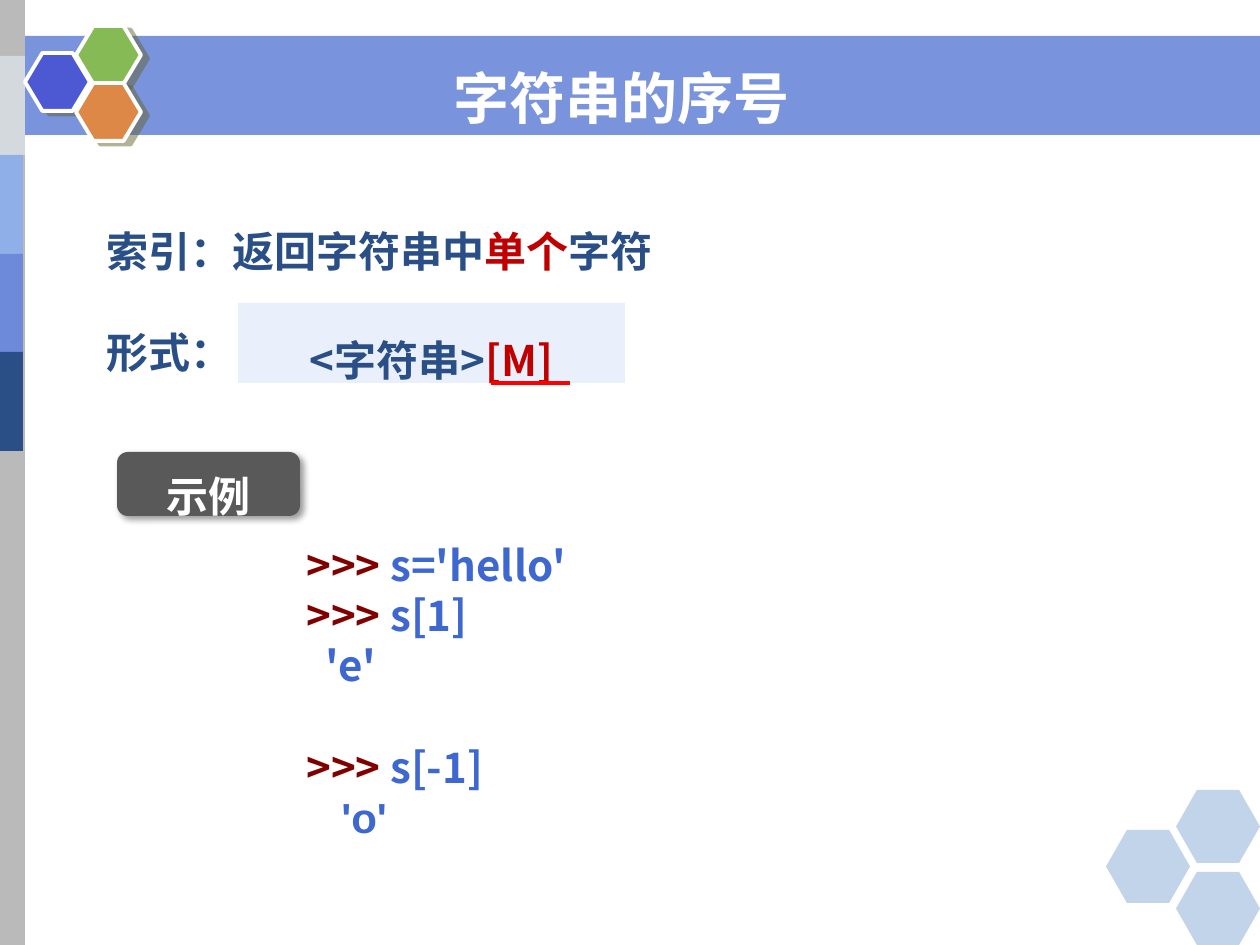
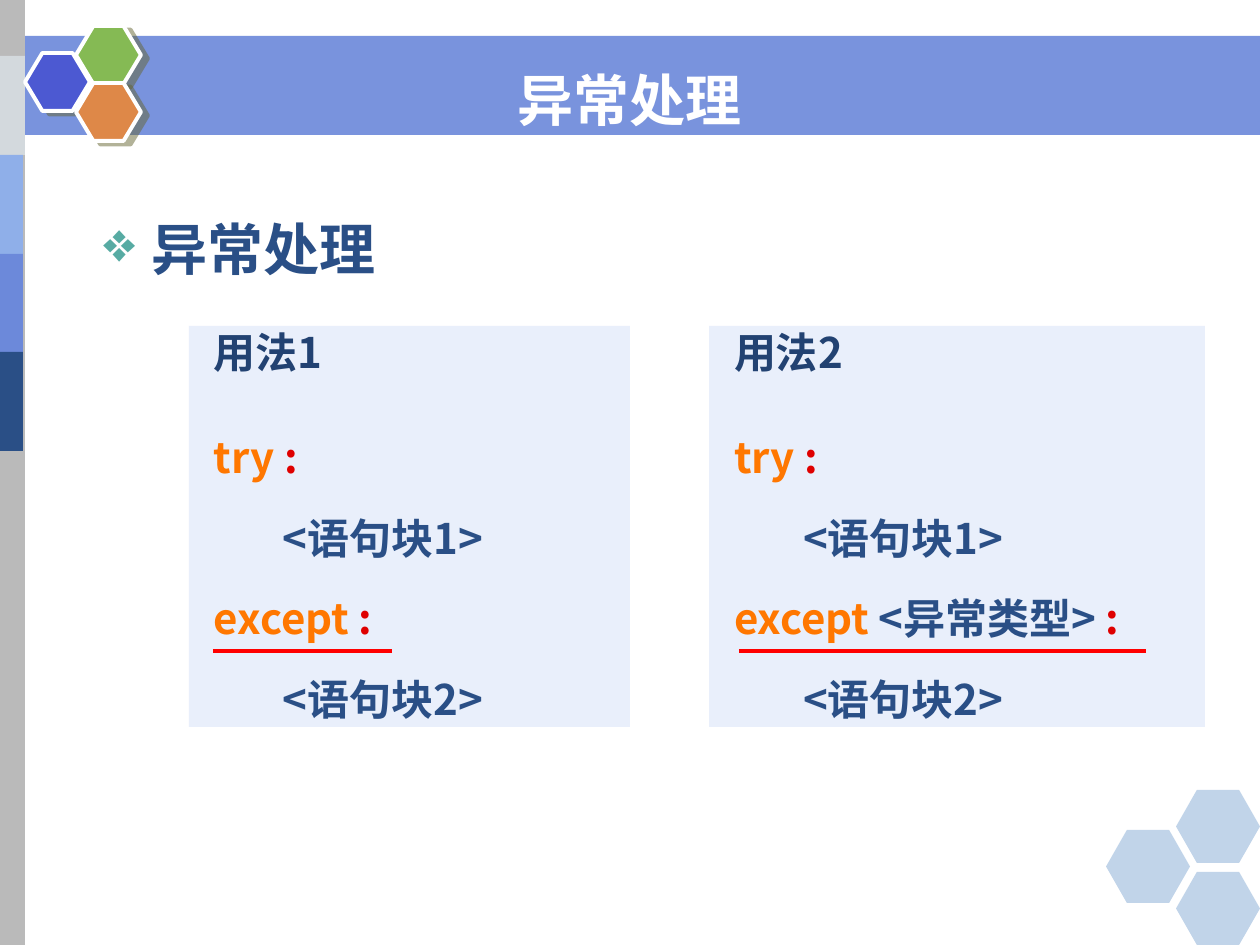
import pptx
import pptx.util
import pptx.dml.color
import pptx.enum.shapes
import pptx.enum.text
import pptx.oxml
import pptx.oxml.ns

PX = pptx.util.Inches(1) / 126
SHAPE = pptx.enum.shapes.MSO_SHAPE
ALIGN = pptx.enum.text.PP_ALIGN
ANCHOR = pptx.enum.text.MSO_ANCHOR
FONT = "Noto Sans CJK SC"
COLORS = {
    "white": "FFFFFF", "band": "6C89DA", "side": "BABABA", "mist": "D3D9DD",
    "sky": "8FAFE9", "navy": "2A4F86", "indigo": "4C59D2", "green": "85BA54",
    "orange": "DE8848", "corner": "5086C2", "olive": "666633", "black": "000000",
    "panel": "E9EFFB", "tag": "595959", "crimson": "C00000", "prompt": "800000",
    "code": "3E68D0", "heading": "224272", "keyword": "FF7700", "colon": "DF0000",
    "rule": "FF0000", "bullet": "57ABA3",
}


class Deck:
    """Holds the shared style and the slide being drawn."""

    def __init__(self):
        self.prs = pptx.Presentation()
        self.prs.slide_width = self.px(1260)
        self.prs.slide_height = self.px(945)
        self.s = None

    def px(self, n):
        return pptx.util.Emu(round(n * PX))

    def rgb(self, name):
        return pptx.dml.color.RGBColor.from_string(COLORS[name])

    def xml(self, parent, markup):
        tag, rest = markup.split(" ", 1)
        ns = pptx.oxml.ns.nsdecls("a")
        parent.append(pptx.oxml.parse_xml(f"<{tag} {ns} {rest}"))

    def shape(self, kind, box, fill, alpha=None, outline=None, adj=None, shadow=None):
        sp = self.s.shapes.add_shape(kind, *map(self.px, box))
        sp.shadow.inherit = False
        sp.fill.solid()
        sp.fill.fore_color.rgb = self.rgb(fill)
        if alpha:
            color = sp.fill._xPr.find(".//" + pptx.oxml.ns.qn("a:srgbClr"))
            self.xml(color, f'a:alpha val="{alpha * 1000}"/>')
        if outline:
            sp.line.color.rgb = self.rgb(outline)
            sp.line.width = pptx.util.Pt(2.25)
        else:
            sp.line.fill.background()
        if adj:
            sp.adjustments[0] = adj
        if shadow:
            self.shadow(sp, *shadow)
        return sp

    def shadow(self, sp, color, alpha, blur, dist, angle):
        effects = sp._element.spPr.find(pptx.oxml.ns.qn("a:effectLst"))
        self.xml(effects, f'a:outerShdw blurRad="{pptx.util.Pt(blur)}" '
                 f'dist="{pptx.util.Pt(dist)}" dir="{angle * 60000}" algn="ctr" '
                 f'rotWithShape="0"><a:srgbClr val="{COLORS[color]}">'
                 f'<a:alpha val="{alpha * 1000}"/></a:srgbClr></a:outerShdw>')

    def box(self, box, paras, wrap=True, **style):
        sp = self.s.shapes.add_textbox(*map(self.px, box))
        self.text(sp, paras, wrap=wrap, **style)

    def text(self, sp, paras, size=24, font=FONT, align=ALIGN.LEFT,
             spacing=None, anchor=ANCHOR.TOP, wrap=True, margins=None):
        tf = sp.text_frame
        tf.word_wrap = wrap
        tf.vertical_anchor = anchor
        if margins:
            (tf.margin_left, tf.margin_top,
             tf.margin_right, tf.margin_bottom) = map(self.px, margins)
        for i, para in enumerate(paras):
            p = tf.add_paragraph() if i else tf.paragraphs[0]
            p.alignment = align
            if spacing:
                p.line_spacing = spacing
            self.paragraph(p, size, font, **para)

    def paragraph(self, p, size, font, runs, before=0, left=0, hang=0, bullet=None, face=None):
        p.space_before = pptx.util.Pt(before)
        pPr = p._p.get_or_add_pPr()
        pPr.set("marL", str(self.px(left)))
        pPr.set("indent", str(self.px(-hang)))
        if bullet:
            self.xml(pPr, f'a:buClr ><a:srgbClr val="{COLORS["bullet"]}"/></a:buClr>')
            self.xml(pPr, f'a:buChar char="{bullet}"/>')
        for words, color in runs:
            r = p.add_run()
            r.text = words
            r.font.size = pptx.util.Pt(size)
            r.font.bold = True
            r.font.name = face or font
            r.font.color.rgb = self.rgb(color)
            self.xml(r._r.get_or_add_rPr(), f'a:ea typeface="{FONT}"/>')

    def rule(self, x1, x2, y):
        line = self.s.shapes.add_connector(
            pptx.enum.shapes.MSO_CONNECTOR.STRAIGHT, *map(self.px, (x1, y, x2, y)))
        line.line.color.rgb = self.rgb("rule")
        line.line.width = pptx.util.Pt(2.25)
        self.xml(line._element.spPr, "a:effectLst />")

    def slide(self, title, x, y):
        self.s = self.prs.slides.add_slide(self.prs.slide_layouts[6])
        self.shape(SHAPE.RECTANGLE, (0, 36, 1260, 99), "band", alpha=91)
        self.shape(SHAPE.RECTANGLE, (-1, 0, 26, 945), "side")
        for left, top, fill in ((0, 56, "mist"), (-2, 155, "sky"),
                                (-2, 254, "band"), (-2, 352, "navy")):
            self.shape(SHAPE.RECTANGLE, (left, top, 25, 99), fill)
        for left, top, fill in ((25, 53, "indigo"), (76, 26, "green"), (76, 83, "orange")):
            self.shape(SHAPE.HEXAGON, (left, top, 65, 58), fill, outline="white",
                       adj=0.3, shadow=("olive", 50, 0, 4.5, 27))
        for left, top in ((1106, 830), (1176, 790), (1176, 872)):
            self.shape(SHAPE.HEXAGON, (left, top, 84, 73), "corner", alpha=35, adj=0.286)
        self.box((x, y, 1260, 81), [{"runs": [(title, "white")]}], size=32,
                 font="DejaVu Sans", align=ALIGN.CENTER, anchor=ANCHOR.MIDDLE)

    def usage(self, left, width, number, condition):
        sp = self.shape(SHAPE.RECTANGLE, (left, 326, width, 401), "panel")
        rows = (
            (25, 1, [(f"用法{number}", "heading")]),
            (25, 31, [("try ", "keyword"), (":", "colon")]),
            (94, 17.2, [("<语句块1>", "navy")]),
            (25, 17.3, [("except ", "keyword"), *condition, (":", "colon")]),
            (94, 17.2, [("<语句块2>", "navy")]),
        )
        self.text(sp, [{"left": indent, "before": before, "runs": runs}
                       for indent, before, runs in rows], margins=(0, 1, 0, 0))


def index_slide(deck):
    deck.slide("字符串的序号", -8, 57)
    form = deck.shape(SHAPE.RECTANGLE, (238, 303, 387, 80), "panel")
    deck.text(form, [{"runs": [("<字符串>", "navy"), ("[M]", "crimson")]}],
              align=ALIGN.CENTER, spacing=1.5)
    deck.box((94, 194, 1017, 81), [{"runs": [
        ("索引：返回字符串中", "navy"), ("单个", "crimson"), ("字符", "navy")]}], spacing=1.5)
    deck.shape(SHAPE.ROUNDED_RECTANGLE, (117, 452, 183, 64), "tag",
               shadow=("black", 40, 4, 3, 45))
    deck.box((117, 454, 183, 68), [{"runs": [("示例", "white")]}],
             align=ALIGN.CENTER, spacing=1.2)
    prompt = (">>>", "prompt")
    deck.box((294, 533, 630, 318), [
        {"runs": [prompt, (" s='hello'", "code")]},
        {"runs": [prompt, (" s[1]", "code")]},
        {"runs": [("'e'", "code")], "left": 19},
        {"runs": [prompt, (" s[-1]", "code")], "before": 29},
        {"runs": [("'o'", "code")], "left": 35, "face": "Arial"},
    ])
    deck.box((94, 320, 152, 63), [{"runs": [("形式：", "navy")]}], wrap=False)
    deck.rule(491, 570, 383)


def exception_slide(deck):
    deck.slide("异常处理", 0, 59)
    deck.box((91, 208, 457, 149), [{"runs": [("异常处理", "navy")], "before": 7,
                                    "left": 48, "hang": 48, "bullet": "❖"}], size=32)
    deck.usage(189, 441, 1, [])
    deck.usage(709, 496, 2, [("<异常类型> ", "navy")])
    deck.rule(213, 392, 651)
    deck.rule(739, 1146, 651)


def main():
    deck = Deck()
    index_slide(deck)
    exception_slide(deck)
    deck.prs.save("out.pptx")


if __name__ == "__main__":
    main()
